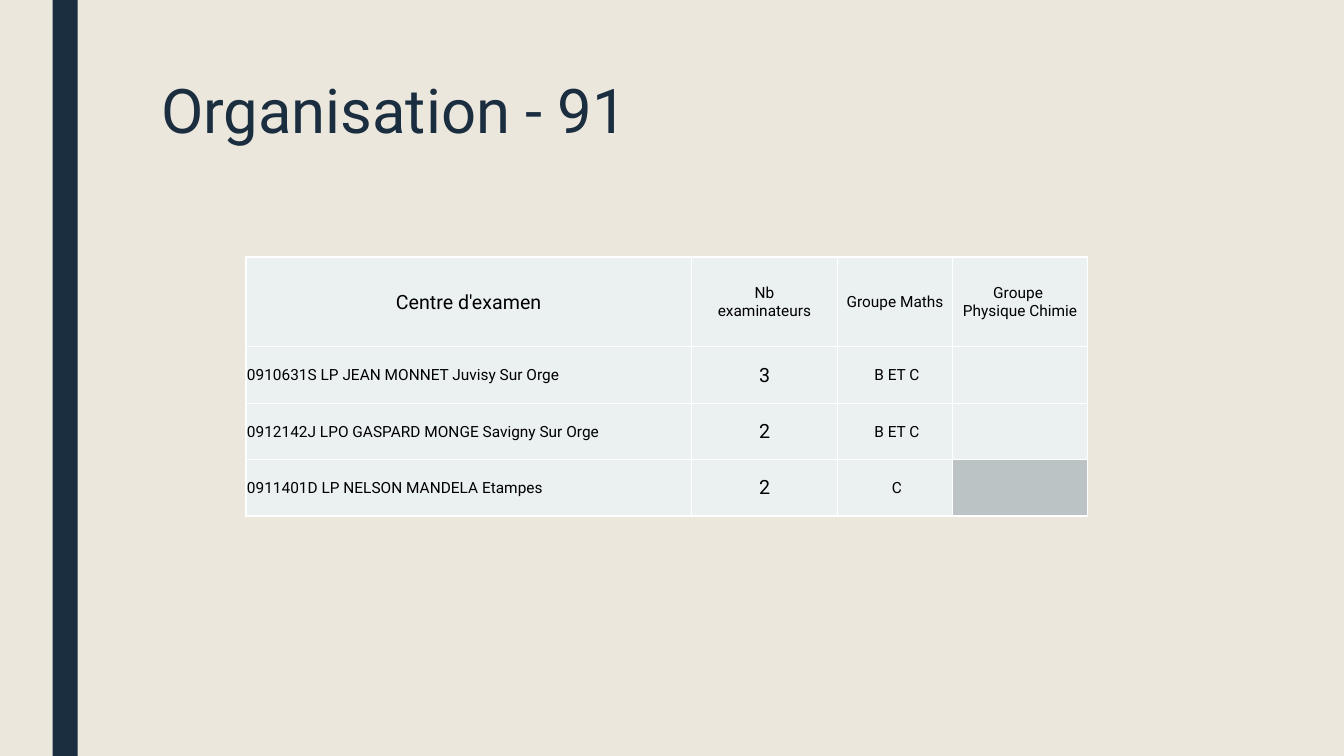
from lxml.etree import SubElement
from pptx import Presentation
from pptx.dml.color import RGBColor
from pptx.enum.shapes import MSO_SHAPE
from pptx.enum.text import MSO_ANCHOR, PP_ALIGN
from pptx.oxml.ns import qn
from pptx.util import Pt

COLORS = {
    "background": "EBE7DD",
    "navy": "1A2E40",
    "cell": "EBF0F1",
    "unused": "BBC3C4",
    "border": "FFFFFF",
    "text": "000000",
}
COLUMN_WIDTHS = [318.2, 104.4, 82.1, 96.5]
ROW_HEIGHTS = [64.1, 40.3, 40.3, 40.3]
HEADINGS = ["Centre d'examen", "Nb\vexaminateurs", "Groupe Maths", "Groupe \vPhysique Chimie"]
CENTRES = [
    ["0910631S LP JEAN MONNET Juvisy Sur Orge", "3", " B ET C", ""],
    ["0912142J LPO GASPARD MONGE Savigny Sur Orge", "2", " B ET C", ""],
    ["0911401D LP NELSON MANDELA Etampes", "2", " C", ""],
]


class SlideBuilder:
    font_name = "Roboto"
    large, small = 14, 11

    def __init__(self, slide):
        self.slide = slide

    def color(self, name):
        return RGBColor.from_string(COLORS[name])

    def paint(self, fill, name):
        fill.solid()
        fill.fore_color.rgb = self.color(name)

    def style(self, paragraph, size, color):
        paragraph.font.name = self.font_name
        paragraph.font.size = Pt(size)
        paragraph.font.color.rgb = self.color(color)

    def background(self, color):
        self.paint(self.slide.background.fill, color)

    def band(self, left, top, width, height, color):
        band = self.slide.shapes.add_shape(
            MSO_SHAPE.RECTANGLE, Pt(left), Pt(top), Pt(width), Pt(height))
        band.shadow.inherit = False
        self.paint(band.fill, color)
        band.line.fill.background()

    def title(self, text, left, top, width, height):
        title = self.slide.shapes.add_textbox(Pt(left), Pt(top), Pt(width), Pt(height))
        title.text_frame.word_wrap = True
        paragraph = title.text_frame.paragraphs[0]
        paragraph.text = text
        paragraph.line_spacing = 0.89
        self.style(paragraph, 44, "navy")

    def borders(self, cell):
        properties = cell._tc.get_or_add_tcPr()
        for index, side in enumerate(("lnL", "lnR", "lnT", "lnB")):
            line = properties.makeelement(qn(f"a:{side}"), {"w": str(Pt(1))})
            fill = SubElement(line, qn("a:solidFill"))
            SubElement(fill, qn("a:srgbClr"), val=COLORS["border"])
            properties.insert(index, line)

    def cell(self, cell, text, size, align, fill):
        self.paint(cell.fill, fill)
        self.borders(cell)
        cell.vertical_anchor = MSO_ANCHOR.MIDDLE
        cell.margin_left = cell.margin_right = cell.margin_top = Pt(0.75)
        cell.margin_bottom = 0
        cell.text = text
        paragraph = cell.text_frame.paragraphs[0]
        paragraph.alignment = align
        self.style(paragraph, size, "text")

    def table(self, rows, left, top):
        table = self.slide.shapes.add_table(
            len(rows), len(COLUMN_WIDTHS), Pt(left), Pt(top),
            Pt(sum(COLUMN_WIDTHS)), Pt(sum(ROW_HEIGHTS))).table
        for column, width in zip(table.columns, COLUMN_WIDTHS):
            column.width = Pt(width)
        for row, height in zip(table.rows, ROW_HEIGHTS):
            row.height = Pt(height)
        last = (len(rows) - 1, len(COLUMN_WIDTHS) - 1)
        for r, row in enumerate(rows):
            for c, text in enumerate(row):
                is_large = c == (0 if r == 0 else 1)
                is_centre_name = r > 0 and c == 0
                self.cell(
                    table.cell(r, c), text,
                    self.large if is_large else self.small,
                    PP_ALIGN.LEFT if is_centre_name else PP_ALIGN.CENTER,
                    "unused" if (r, c) == last else "cell")


def main():
    presentation = Presentation()
    presentation.slide_width, presentation.slide_height = Pt(960), Pt(540)
    builder = SlideBuilder(presentation.slides.add_slide(presentation.slide_layouts[6]))
    builder.background("background")
    builder.band(37.5, 0, 18, 540, "navy")
    builder.title("Organisation - 91", 108, 54, 756, 116.6)
    builder.table([HEADINGS, *CENTRES], 175.7, 183.6)
    presentation.save("out.pptx")


if __name__ == "__main__":
    main()
